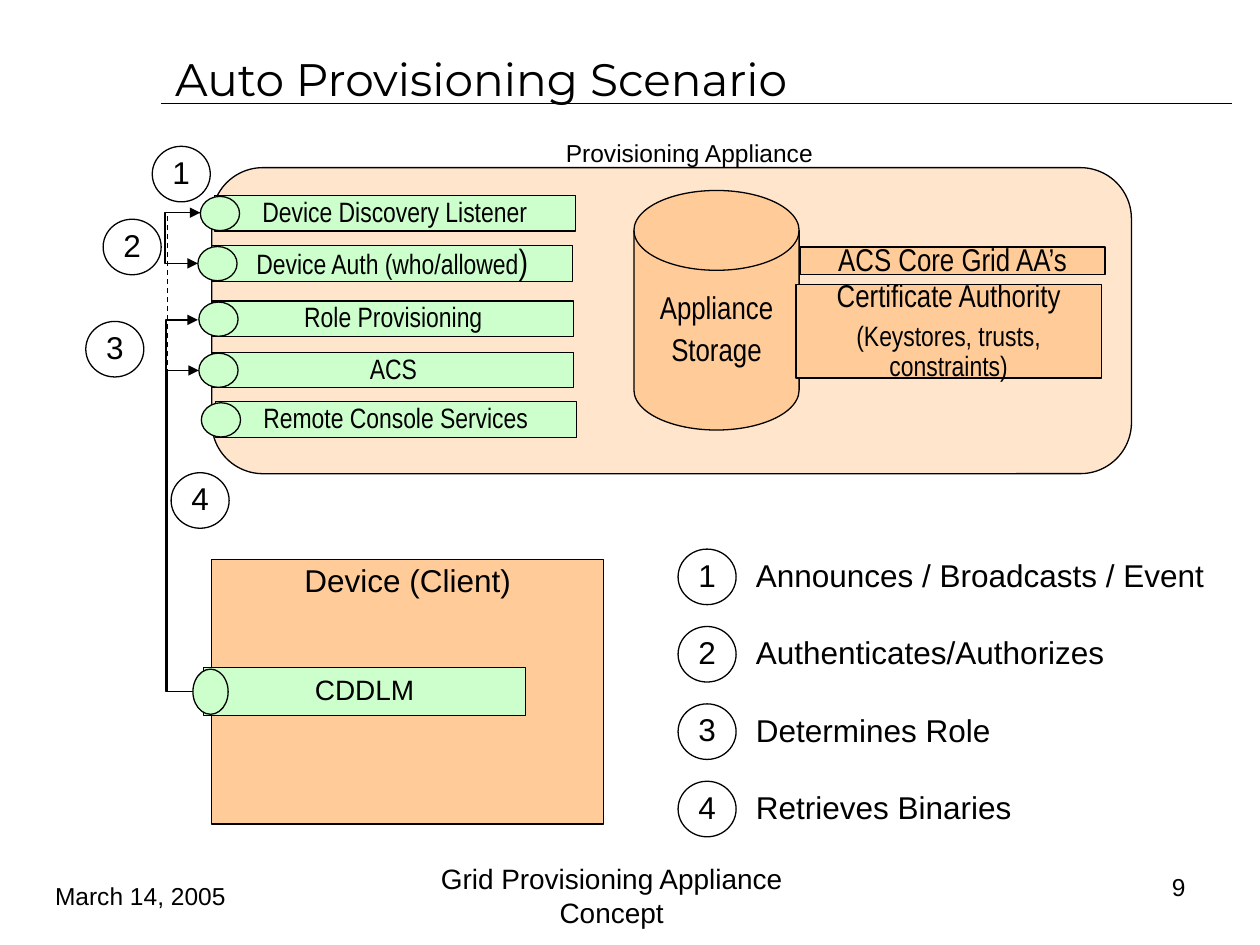
"""Build the Auto Provisioning Scenario slide."""
import pptx
import pptx.util
import pptx.dml.color
import pptx.enum.dml
import pptx.enum.shapes
import pptx.enum.text
import pptx.oxml.ns
import lxml.etree

Cm, Pt = pptx.util.Cm, pptx.util.Pt
rgb = pptx.dml.color.RGBColor.from_string
qn = pptx.oxml.ns.qn
MSO = pptx.enum.shapes.MSO_SHAPE
ALIGN = pptx.enum.text.PP_ALIGN
ANCHOR = pptx.enum.text.MSO_ANCHOR
ELBOW = pptx.enum.shapes.MSO_CONNECTOR.ELBOW
STRAIGHT = pptx.enum.shapes.MSO_CONNECTOR.STRAIGHT
BLACK, WHITE, ORANGE, GREEN = "000000", "FFFFFF", "FFCC99", "CCFFCC"
NARROW = "Arial Narrow"


def write(s, text, size=18, font="Arial", align=ALIGN.CENTER, anchor=ANCHOR.MIDDLE, wrap=True, spacing=0.9):
    tf = s.text_frame
    tf.word_wrap = wrap
    tf.vertical_anchor = anchor
    for i, line in enumerate(text.split("\n")):
        p = tf.paragraphs[0] if i == 0 else tf.add_paragraph()
        p.text = line
        p.alignment = align
        p.line_spacing = spacing
        p.space_before = Pt(4.5 if i else 0)
        p.font.size = Pt(size)
        p.font.name = font
        p.font.color.rgb = rgb(BLACK)
    return tf


def shape(kind, x, y, w, h, fill):
    s = slide.shapes.add_shape(kind, Cm(x), Cm(y), Cm(w), Cm(h))
    s.shadow.inherit = False
    s.fill.solid()
    s.fill.fore_color.rgb = rgb(fill)
    s.line.color.rgb = rgb(BLACK)
    s.line.width = Pt(0.75)
    return s


prs = pptx.Presentation()
prs.slide_width, prs.slide_height = Cm(25.4), Cm(19.05)
slide = prs.slides.add_slide(prs.slide_layouts[6])

panel = shape(MSO.ROUNDED_RECTANGLE, 4.27, 3.38, 18.54, 6.17, ORANGE)
panel.adjustments[0] = 0.167
color = panel.fill._xPr.find(qn("a:solidFill"))[0]
lxml.etree.SubElement(color, qn("a:alpha"), val="51000")

disk = shape(MSO.FLOWCHART_MAGNETIC_DISK, 12.78, 3.84, 3.33, 4.83, ORANGE)
write(disk, "Appliance\nStorage", font=NARROW, wrap=False)
core = shape(MSO.RECTANGLE, 16.13, 4.98, 6.15, 0.56, ORANGE)
write(core, "ACS Core Grid AA’s", font=NARROW, wrap=False)
authority = shape(MSO.RECTANGLE, 16.05, 5.74, 6.15, 1.88, ORANGE)
tf = write(authority, "Certificate Authority\n(Keystores, trusts, constraints)", font=NARROW)
tf.paragraphs[1].font.size = Pt(16)

services = [
    (4.32, 3.94, "Device Discovery Listener"),
    (4.27, 4.95, "Device Auth (who/allowed"),
    (4.29, 6.07, "Role Provisioning"),
    (4.29, 7.1, "ACS"),
    (4.34, 8.1, "Remote Console Services"),
]
for x, y, name in services:
    bar = shape(MSO.RECTANGLE, x, y, 7.28, 0.72, GREEN)
    tf = write(bar, name, 16, NARROW, wrap=False)
    if "(" in name:
        r = tf.paragraphs[0].add_run()
        r.text = ")"
        r.font.size = Pt(20)
    shape(MSO.OVAL, x - 0.28, y + 0.02, 0.79, 0.69, GREEN)

device = shape(MSO.RECTANGLE, 4.27, 11.28, 7.9, 5.33, ORANGE)
write(device, "Device (Client)", anchor=ANCHOR.TOP)

links = [
    (4.27, 13.94, 4.04, 4.29, 3.38, True),
    (4.04, 4.29, 3.99, 5.31, 3.33, False),
    (4.27, 13.94, 3.99, 6.45, 3.35, False),
    (4.27, 13.94, 4.01, 7.47, 3.38, False),
]
for x1, y1, x2, y2, bend, dashed in links:
    s = slide.shapes.add_connector(ELBOW, Cm(x1), Cm(y1), Cm(x2), Cm(y2))
    s.line.color.rgb = rgb(BLACK)
    s.line.width = Pt(0.75)
    if dashed:
        s.line.dash_style = pptx.enum.dml.MSO_LINE.DASH
    spPr = s._element.spPr
    guides = spPr.find(qn("a:prstGeom")).get_or_add_avLst()
    adjust = round((x1 - bend) / (x1 - x2) * 100000)
    lxml.etree.SubElement(guides, qn("a:gd"), name="adj1", fmla=f"val {adjust}")
    lxml.etree.SubElement(s.line._get_or_add_ln(), qn("a:tailEnd"), type="triangle")
    lxml.etree.SubElement(spPr, qn("a:effectLst"))

cddlm = shape(MSO.RECTANGLE, 4.11, 13.46, 6.48, 0.97, GREEN)
write(cddlm, "CDDLM", 16, wrap=False)
shape(MSO.OVAL, 3.89, 13.49, 0.71, 0.91, GREEN)

steps = [
    (3.07, 2.95, "Announces / Broadcasts / Event"),
    (2.08, 4.42, "Authenticates/Authorizes"),
    (1.73, 6.48, "Determines Role"),
    (3.45, 9.53, "Retrieves Binaries"),
]
for i, (x, y, meaning) in enumerate(steps):
    legend_y = 11.07 + i * 1.56
    for left, top in ((x, y), (13.67, legend_y)):
        circle = shape(MSO.OVAL, left, top, 1.17, 1.12, WHITE)
        write(circle, str(i + 1), wrap=False)
    s = slide.shapes.add_textbox(Cm(14.99), Cm(legend_y + 0.1), Cm(10.41), Cm(0.94))
    write(s, meaning, align=ALIGN.LEFT, anchor=ANCHOR.TOP)

labels = [
    (3.28, 0.84, 21.59, 1.47, "Auto Provisioning Scenario", 26, "Montserrat", ALIGN.LEFT),
    (9.19, 2.69, 9.42, 0.79, "Provisioning Appliance", 14, "Arial", ALIGN.CENTER),
    (7.72, 17.35, 9.22, 1.4, "Grid Provisioning Appliance Concept", 16, "Arial", ALIGN.CENTER),
    (21.74, 17.58, 2.41, 0.61, "9", 14, "Arial", ALIGN.RIGHT),
    (0.86, 17.58, 4.47, 0.94, "March 14, 2005", 14, "Arial", ALIGN.LEFT),
]
for x, y, w, h, text, size, font, align in labels:
    s = slide.shapes.add_textbox(Cm(x), Cm(y), Cm(w), Cm(h))
    write(s, text, size, font, align, spacing=1)

rule = slide.shapes.add_connector(STRAIGHT, Cm(3.25), Cm(2.08), Cm(24.84), Cm(2.08))
rule.line.color.rgb = rgb(BLACK)
rule.line.width = Pt(0.75)
lxml.etree.SubElement(rule._element.spPr, qn("a:effectLst"))

prs.save("out.pptx")
